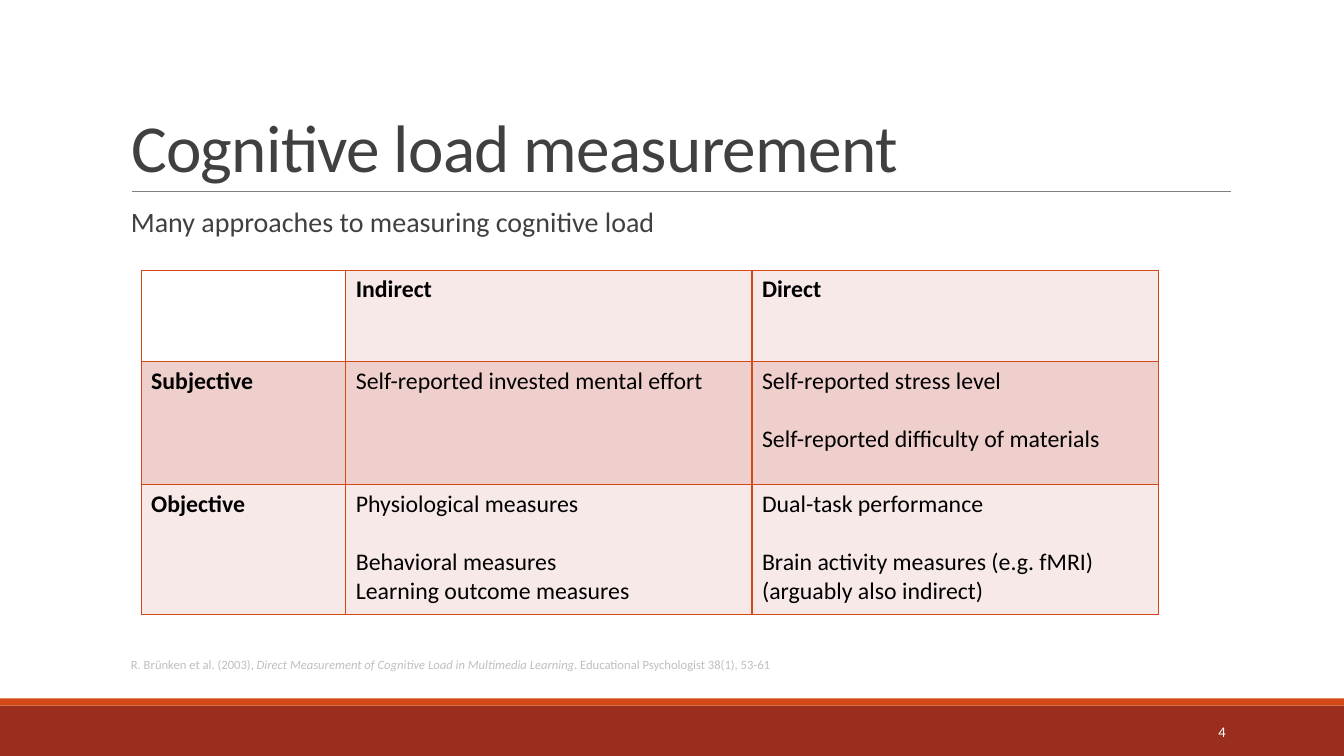
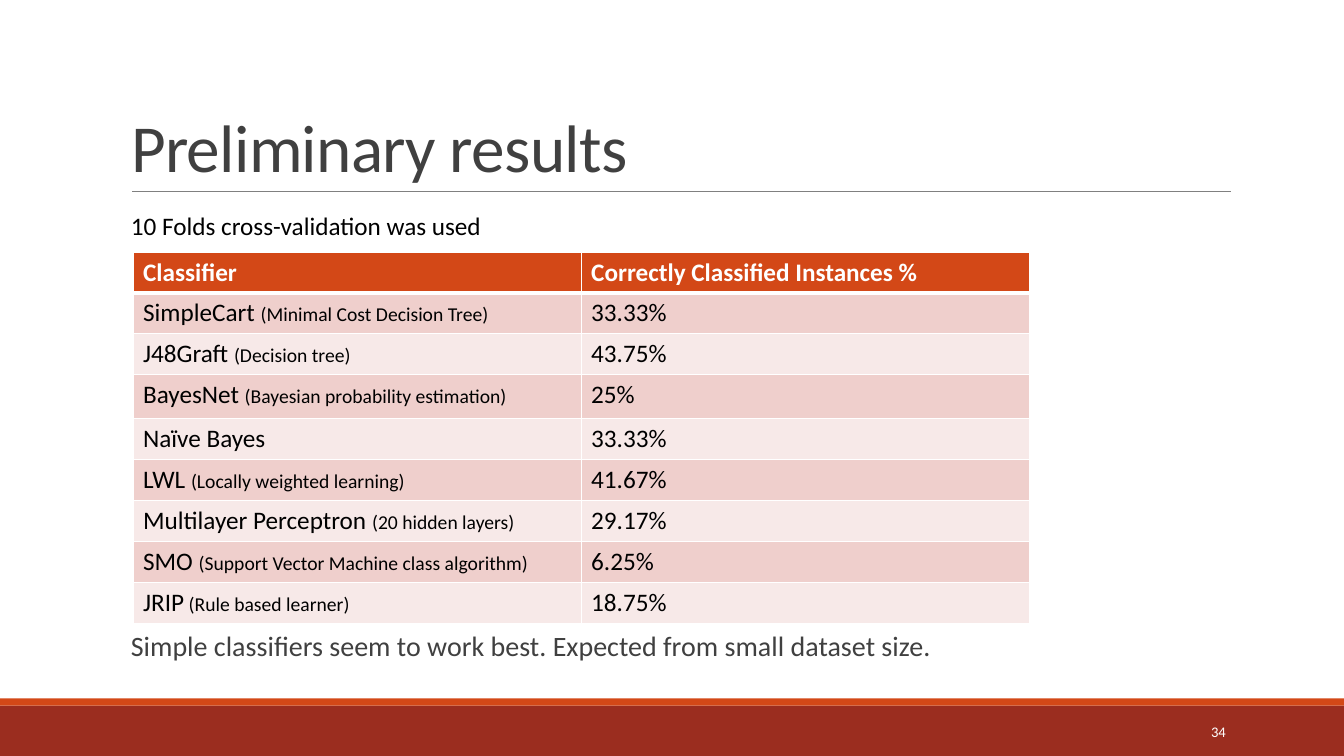
from dataclasses import dataclass

from lxml import etree
from pptx import Presentation
from pptx.dml.color import RGBColor
from pptx.enum.shapes import MSO_CONNECTOR, MSO_SHAPE
from pptx.enum.text import MSO_ANCHOR, MSO_AUTO_SIZE, PP_ALIGN
from pptx.oxml.ns import qn
from pptx.util import Emu, Inches, Pt

RECT, STRAIGHT = MSO_SHAPE.RECTANGLE, MSO_CONNECTOR.STRAIGHT
TOP, MIDDLE, BOTTOM = MSO_ANCHOR.TOP, MSO_ANCHOR.MIDDLE, MSO_ANCHOR.BOTTOM
LEFT, RIGHT = PP_ALIGN.LEFT, PP_ALIGN.RIGHT
NO_FIT = MSO_AUTO_SIZE.NONE

# Shared look
FONT = "Calibri"
ORANGE, BRICK, RULE = "D34817", "9B2D1F", "808080"
INK, BLACK, WHITE, PALE = "404040", "000000", "FFFFFF", "BFBFBF"
BAND_DARK, BAND_LIGHT = "EFCFCC", "F7E9E8"

# Grid: square units of a tenth of an inch
UNIT = Inches(0.1)
COLS, ROWS = 133.33, 75
MARGIN, CONTENT = 12, 110
BAND_TOP, STRIPE = 70, 0.7
BLANK_LINE = 20.75  # points, one line of table text at 17 pt


@dataclass(frozen=True)
class Box:
    col: float
    row: float
    cols: float
    rows: float

    def emu(self) -> tuple[Emu, ...]:
        return tuple(units(n) for n in (self.col, self.row, self.cols, self.rows))


@dataclass(frozen=True)
class Run:
    text: str
    size: float
    color: str = BLACK
    bold: bool = False
    italic: bool = False


@dataclass(frozen=True)
class Par:
    runs: tuple[Run, ...]
    before: float = 0


@dataclass(frozen=True)
class Cell:
    pars: tuple[Par, ...]
    fill: str


@dataclass(frozen=True)
class Grid:
    col: float
    row: float
    widths: tuple[float, ...]
    heights: tuple[float, ...]
    border: str
    header_rule: float
    cells: list[list[Cell]]


def units(n: float) -> Emu:
    return Emu(round(n * UNIT))


def rgb(color: str) -> RGBColor:
    return RGBColor.from_string(color)


# Text
def style(r, run: Run) -> None:
    r.font.name, r.font.size = FONT, Pt(run.size)
    r.font.bold, r.font.italic = run.bold, run.italic
    r.font.color.rgb = rgb(run.color)


def write(tf, pars: tuple[Par, ...]) -> None:
    for i, par in enumerate(pars):
        p = tf.paragraphs[0] if i == 0 else tf.add_paragraph()
        p.space_before = Pt(par.before)
        for run in par.runs:
            r = p.add_run()
            r.text = run.text
            style(r, run)


def add_text(s, box: Box, *runs: Run, anchor=TOP, align=LEFT, spacing: float = 1) -> None:
    tf = s.shapes.add_textbox(*box.emu()).text_frame
    tf.word_wrap, tf.vertical_anchor = True, anchor
    write(tf, (Par(runs),))
    tf.paragraphs[0].alignment = align
    tf.paragraphs[0].line_spacing = spacing


def add_statement(s, row: float, text: str) -> None:
    add_text(s, Box(MARGIN, row, CONTENT, 5.3), Run(text, 20, INK), spacing=0.9)


# Bands, rule, title and slide number
def add_band(s, box: Box, color: str) -> None:
    sp = s.shapes.add_shape(RECT, *box.emu())
    sp.shadow.inherit = False
    sp.fill.solid()
    sp.fill.fore_color.rgb = rgb(color)
    sp.line.fill.background()


def add_rule(s, col: float, row: float, end: float) -> None:
    line = s.shapes.add_connector(STRAIGHT, units(col), units(row), units(end), units(row))
    line.line.color.rgb, line.line.width = rgb(RULE), Pt(0.5)
    etree.SubElement(line._element.spPr, qn("a:effectLst"))


def set_title(s, text: str) -> None:
    sp = s.shapes.title
    sp.left, sp.top, sp.width, sp.height = Box(MARGIN, 3.1, CONTENT, 15.9).emu()
    tf = sp.text_frame
    tf.text = text
    tf.auto_size, tf.word_wrap, tf.vertical_anchor = NO_FIT, True, BOTTOM
    p = tf.paragraphs[0]
    p.alignment, p.line_spacing = LEFT, 0.85
    r = p.runs[0]
    style(r, Run(text, 48, INK))
    r._r.get_or_add_rPr().set("spc", "-50")


def add_slide(prs, title: str, number: int):
    s = prs.slides.add_slide(prs.slide_layouts[5])
    add_band(s, Box(0, BAND_TOP, COLS, ROWS - BAND_TOP), BRICK)
    add_band(s, Box(0, BAND_TOP - STRIPE, COLS, STRIPE), ORANGE)
    add_rule(s, 13.1, 19, 122.1)
    set_title(s, title)
    add_text(s, Box(108.3, 70.6, 14.3, 4), Run(str(number), 10.5, WHITE),
             anchor=MIDDLE, align=RIGHT)
    return s


# Tables
def set_border(cell, side: str, color: str, width: float) -> None:
    ln = etree.SubElement(cell._tc.get_or_add_tcPr(), qn(f"a:ln{side}"), w=str(Pt(width)))
    fill = etree.SubElement(ln, qn("a:solidFill"))
    etree.SubElement(fill, qn("a:srgbClr"), val=color)


def add_grid(s, grid: Grid) -> None:
    box = Box(grid.col, grid.row, sum(grid.widths), sum(grid.heights))
    table = s.shapes.add_table(len(grid.heights), len(grid.widths), *box.emu()).table
    table.first_row = table.horz_banding = False
    for column, width in zip(table.columns, grid.widths):
        column.width = units(width)
    for i, (row, height) in enumerate(zip(table.rows, grid.heights)):
        row.height = units(height)
        top = grid.header_rule if i == 1 else 1
        bottom = grid.header_rule if i == 0 else 1
        for cell, content in zip(row.cells, grid.cells[i]):
            for side, width in (("L", 1), ("R", 1), ("T", top), ("B", bottom)):
                set_border(cell, side, grid.border, width)
            cell.fill.solid()
            cell.fill.fore_color.rgb = rgb(content.fill)
            write(cell.text_frame, content.pars)


def band(row: int) -> str:
    return BAND_DARK if row % 2 else BAND_LIGHT


# Slide content: the lists in a cell are groups of lines set apart by a blank line
Groups = list[list[str]]
MEASURES: list[list[Groups]] = [
    [[], [["Indirect"]], [["Direct"]]],
    [[["Subjective"]],
     [["Self-reported invested mental effort"]],
     [["Self-reported stress level"], ["Self-reported difficulty of materials"]]],
    [[["Objective"]],
     [["Physiological measures"], ["Behavioral measures", "Learning outcome measures"]],
     [["Dual-task performance"],
      ["Brain activity measures (e.g. fMRI)", "(arguably also indirect)"]]],
]

RESULTS = [
    ("SimpleCart ", "(Minimal Cost Decision Tree)", "33.33%"),
    ("J48Graft ", "(Decision tree)", "43.75%"),
    ("BayesNet ", "(Bayesian probability estimation)", "25%"),
    ("Naïve Bayes", "", "33.33%"),
    ("LWL ", "(Locally weighted learning)", "41.67%"),
    ("Multilayer Perceptron ", "(20 hidden layers)", "29.17%"),
    ("SMO ", "(Support Vector Machine class algorithm)", "6.25%"),
    ("JRIP", " (Rule based learner)", "18.75%"),
]


def measure_cell(row: int, col: int, groups: Groups) -> Cell:
    heading = row == 0 or col == 0
    pars = tuple(
        Par((Run(line, 17, bold=heading),), BLANK_LINE if g and not n else 0)
        for g, group in enumerate(groups) for n, line in enumerate(group))
    return Cell(pars, band(row) if pars else WHITE)


def result_cell(row: int, text: str, note: str = "") -> Cell:
    runs = (Run(text, 18),) + ((Run(note, 14),) if note else ())
    return Cell((Par(runs),), band(row))


def header_cell(text: str) -> Cell:
    return Cell((Par((Run(text, 18, WHITE, bold=True),)),), ORANGE)


def build_measurement(prs) -> None:
    s = add_slide(prs, "Cognitive load measurement", 4)
    add_statement(s, 20.2, "Many approaches to measuring cognitive load")
    cells = [[measure_cell(i, j, groups) for j, groups in enumerate(row)]
             for i, row in enumerate(MEASURES)]
    add_grid(s, Grid(14, 26.8, (20.3, 40.3, 40.3), (9.1, 12.2, 12.9), ORANGE, 1, cells))
    add_text(s, Box(MARGIN, 64.4, CONTENT, 3),
             Run("R. Brünken et al. (2003), ", 9, PALE),
             Run("Direct Measurement of Cognitive Load in Multimedia Learning", 9, PALE,
                 italic=True),
             Run(". Educational Psychologist 38(1), 53-61", 9, PALE),
             anchor=MIDDLE)


def build_results(prs) -> None:
    s = add_slide(prs, "Preliminary results", 34)
    add_text(s, Box(MARGIN, 20.4, 83.8, 4), Run("10 Folds cross-validation was used", 18))
    cells = [[header_cell("Classifier"), header_cell("Correctly Classified Instances %")]]
    cells += [[result_cell(i, name, note), result_cell(i, score)]
              for i, (name, note, score) in enumerate(RESULTS, start=1)]
    heights = tuple(4.35 if i == 3 else 4.06 for i in range(len(cells)))
    add_grid(s, Grid(13.2, 25, (44.45, 44.45), heights, WHITE, 3, cells))
    add_statement(s, 62.2,
                  "Simple classifiers seem to work best. Expected from small dataset size.")


def main() -> None:
    prs = Presentation()
    prs.slide_width, prs.slide_height = units(COLS), units(ROWS)
    build_measurement(prs)
    build_results(prs)
    prs.save("out.pptx")


if __name__ == "__main__":
    main()
